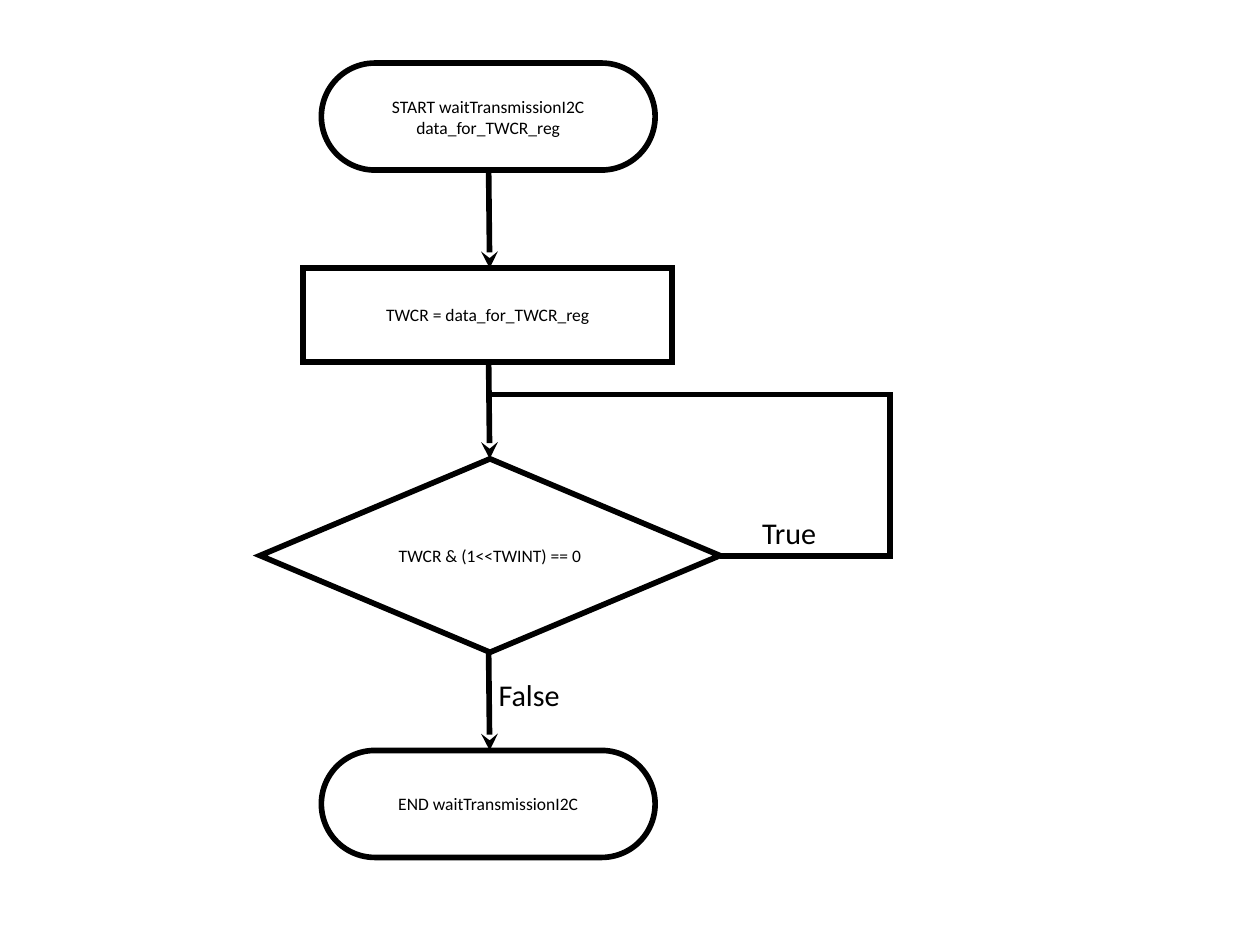
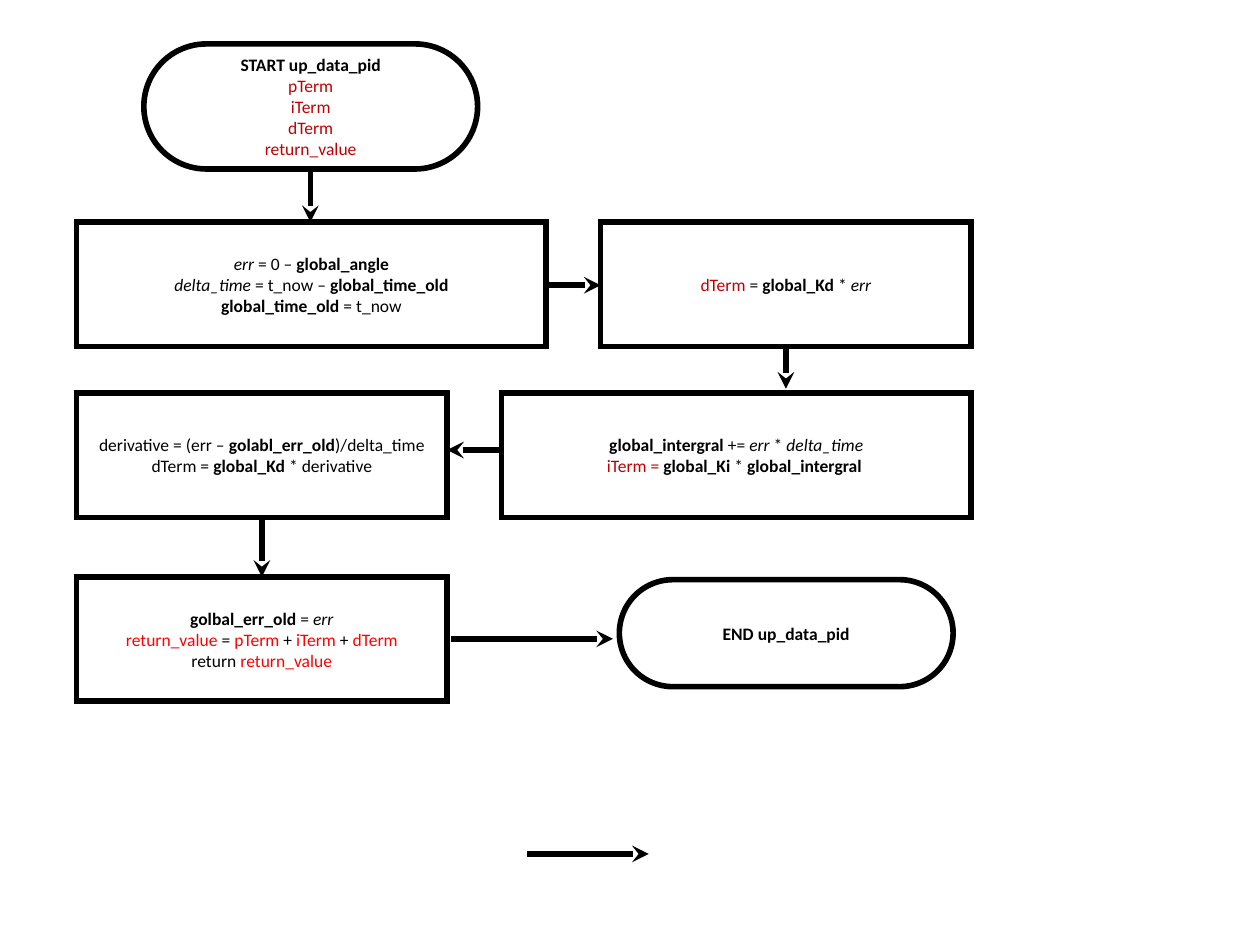
"""Build two program flowcharts: an I2C wait loop and a PID update."""
from dataclasses import dataclass

import lxml.etree
import pptx
import pptx.dml.color
import pptx.enum.shapes
import pptx.enum.text
import pptx.oxml.ns
import pptx.slide
import pptx.text.text
import pptx.util

Cm = pptx.util.Cm
SHAPES = pptx.enum.shapes.MSO_SHAPE
ALIGN = pptx.enum.text.PP_ALIGN
ANCHOR = pptx.enum.text.MSO_ANCHOR

BLACK, DARK_RED, RED = "000000", "C00000", "FF0000"
FONT = "Calibri"
STROKE = 4.5
STEP_SIZE, LABEL_SIZE = 14, 24.1
PILL_WIDTH, PILL_HEIGHT = 9.42, 3.02


@dataclass(frozen=True)
class Run:
    """A stretch of text with one format."""
    text: str
    color: str = BLACK
    bold: bool = False
    italic: bool = False


@dataclass(frozen=True)
class Step:
    """A flowchart node, placed in centimetres."""
    kind: pptx.enum.shapes.MSO_SHAPE
    left: float
    top: float
    width: float
    height: float
    lines: list


@dataclass(frozen=True)
class Link:
    """A straight line between two points in centimetres."""
    x1: float
    y1: float
    x2: float
    y2: float
    arrow: bool = True


@dataclass(frozen=True)
class Label:
    """A branch caption, placed in centimetres."""
    text: str
    left: float
    top: float
    width: float
    height: float = 1.3


def rgb(color: str) -> pptx.dml.color.RGBColor:
    """Turn a hex string into a colour."""
    return pptx.dml.color.RGBColor.from_string(color)


def bold(text: str) -> Run:
    """Return a bold run for a global name."""
    return Run(text, bold=True)


def italic(text: str) -> Run:
    """Return an italic run for a local name."""
    return Run(text, italic=True)


def dark_red(text: str) -> Run:
    """Return a dark red run for a term."""
    return Run(text, DARK_RED)


def red(text: str) -> Run:
    """Return a bright red run for a result."""
    return Run(text, RED)


def write_text(frame: pptx.text.text.TextFrame, lines: list, *, size: float = STEP_SIZE,
               align: ALIGN = ALIGN.CENTER, anchor: ANCHOR = ANCHOR.MIDDLE,
               wrap: bool = True) -> None:
    """Fill a text frame with lines of formatted runs."""
    frame.word_wrap = wrap
    frame.vertical_anchor = anchor
    for index, line in enumerate(lines):
        paragraph = frame.add_paragraph() if index else frame.paragraphs[0]
        paragraph.alignment = align
        for part in line:
            run = paragraph.add_run()
            run.text = part.text
            run.font.name = FONT
            run.font.size = pptx.util.Pt(size)
            run.font.bold = part.bold
            run.font.italic = part.italic
            run.font.color.rgb = rgb(part.color)


def draw_stroke(outlined, arrow: bool = False) -> None:
    """Give a shape or connector the heavy mitred stroke."""
    outlined.line.color.rgb = rgb(BLACK)
    outlined.line.width = pptx.util.Pt(STROKE)
    properties = outlined.element.spPr
    stroke = properties.find(pptx.oxml.ns.qn("a:ln"))
    lxml.etree.SubElement(stroke, pptx.oxml.ns.qn("a:miter"), lim="800000")
    if arrow:
        lxml.etree.SubElement(stroke, pptx.oxml.ns.qn("a:tailEnd"), type="stealth")


def draw_step(slide: pptx.slide.Slide, step: Step) -> None:
    """Draw one node with its centred text."""
    node = slide.shapes.add_shape(step.kind, Cm(step.left), Cm(step.top),
                                  Cm(step.width), Cm(step.height))
    if step.kind == SHAPES.ROUNDED_RECTANGLE:
        node.adjustments[0] = 0.5
    node.shadow.inherit = False
    node.fill.background()
    draw_stroke(node)
    write_text(node.text_frame, step.lines)


def draw_link(slide: pptx.slide.Slide, link: Link) -> None:
    """Draw one line, with an arrowhead if it has one."""
    connector = slide.shapes.add_connector(
        pptx.enum.shapes.MSO_CONNECTOR.STRAIGHT,
        Cm(link.x1), Cm(link.y1), Cm(link.x2), Cm(link.y2))
    draw_stroke(connector, link.arrow)
    lxml.etree.SubElement(connector.element.spPr, pptx.oxml.ns.qn("a:effectLst"))


def draw_label(slide: pptx.slide.Slide, label: Label) -> None:
    """Draw one branch caption."""
    caption = slide.shapes.add_textbox(Cm(label.left), Cm(label.top),
                                       Cm(label.width), Cm(label.height))
    write_text(caption.text_frame, [[Run(label.text)]], size=LABEL_SIZE,
               align=ALIGN.LEFT, anchor=ANCHOR.TOP, wrap=False)
    caption.text_frame.auto_size = pptx.enum.text.MSO_AUTO_SIZE.SHAPE_TO_FIT_TEXT


def pill(left: float, top: float, lines: list, height: float = PILL_HEIGHT) -> Step:
    """Return a start or end node."""
    return Step(SHAPES.ROUNDED_RECTANGLE, left, top, PILL_WIDTH, height, lines)


def box(left: float, top: float, width: float, height: float, lines: list) -> Step:
    """Return a process node."""
    return Step(SHAPES.RECTANGLE, left, top, width, height, lines)


def add_flowchart(deck, steps: list, links: list, labels: list) -> None:
    """Add a slide and draw a flowchart on it."""
    slide = deck.slides.add_slide(deck.slide_layouts[6])
    for step in steps:
        draw_step(slide, step)
    for link in links:
        draw_link(slide, link)
    for label in labels:
        draw_label(slide, label)


def add_wait_chart(deck) -> None:
    """Add the I2C transmission wait loop."""
    start_top, assign_top, test_top, end_top = 1.78, 7.57, 12.95, 21.18
    assign_height, test_height = 2.64, 5.46
    pill_left, spine, spine_end = 9.07, 13.79, 13.82
    loop_top, loop_bottom, loop_right = 11.13, 15.7, 25.12
    corner = 0.08
    steps = [
        pill(pill_left, start_top,
             [[Run("START waitTransmissionI2C")], [Run("data_for_TWCR_reg")]]),
        box(8.56, assign_top, 10.41, assign_height, [[Run("TWCR = data_for_TWCR_reg")]]),
        Step(SHAPES.DIAMOND, 7.34, test_top, 12.98, test_height,
             [[Run("TWCR & (1<<TWINT) == 0")]]),
        pill(pill_left, end_top, [[Run("END waitTransmissionI2C")]]),
    ]
    flow = [(start_top + PILL_HEIGHT, assign_top),
            (assign_top + assign_height, test_top),
            (test_top + test_height, end_top)]
    links = [Link(spine, above, spine_end, below) for above, below in flow]
    links += [
        Link(spine_end, loop_top, loop_right + corner, loop_top, arrow=False),
        Link(20.32, loop_bottom, loop_right + corner, loop_bottom, arrow=False),
        Link(loop_right, loop_bottom, loop_right, loop_top, arrow=False),
    ]
    labels = [Label("True", 21.26, 14.4, 2.24), Label("False", spine_end, 18.97, 2.62)]
    add_flowchart(deck, steps, links, labels)


def add_pid_chart(deck) -> None:
    """Add the PID update sequence."""
    left, right = 2.16, 27.41
    wide, narrow, height = 13.26, 10.46, 3.51
    error_top, integral_top, return_top = 6.27, 11.1, 16.28
    start_top, start_height = 1.24, 3.53
    start_x, proportional_x, derivative_x = 8.76, right - narrow / 2, left + narrow / 2
    terms = ["pTerm", "iTerm", "dTerm", "return_value"]
    steps = [
        pill(4.06, start_top,
             [[bold("START up_data_pid")]] + [[dark_red(term)] for term in terms],
             start_height),
        box(left, error_top, wide, height, [
            [italic("err"), Run(" = 0 – "), bold("global_angle")],
            [italic("delta_time"), Run(" = t_now – "), bold("global_time_old")],
            [bold("global_time_old"), Run(" = t_now")]]),
        box(right - narrow, error_top, narrow, height, [
            [dark_red("dTerm "), Run("= "), bold("global_Kd"), Run(" * "), italic("err")]]),
        box(right - wide, integral_top, wide, height, [
            [bold("global_intergral "), Run("+= "), italic("err"), Run(" * "),
             italic("delta_time")],
            [dark_red("iTerm = "), bold("global_Ki"), Run(" * "),
             bold("global_intergral ")]]),
        box(left, integral_top, narrow, height, [
            [Run("derivative = (err – "), bold("golabl_err_old"), Run(")/delta_time")],
            [Run("dTerm = "), bold("global_Kd"), Run(" * derivative")]]),
        box(left, return_top, narrow, height, [
            [bold("golbal_err_old"), Run(" = "), italic("err")],
            [red("return_value"), Run(" = "), red("pTerm"), Run(" + "), red("iTerm"),
             Run(" + "), red("dTerm")],
            [Run("return "), red("return_value")]]),
        pill(17.48, 16.36, [[bold("END up_data_pid")]]),
    ]
    links = [
        Link(start_x, start_top + start_height, start_x, error_top),
        Link(left + wide, 8.05, right - narrow, 8.05),
        Link(proportional_x, error_top + height, proportional_x, 10.97),
        Link(right - wide, 12.7, left + narrow, 12.7),
        Link(derivative_x, integral_top + height, derivative_x, return_top),
        Link(12.73, 18.03, 17.3, 18.03),
        Link(14.88, 24.1, 18.31, 24.1),
    ]
    add_flowchart(deck, steps, links, [])


def main() -> None:
    """Build and save the deck."""
    deck = pptx.Presentation()
    deck.slide_width, deck.slide_height = Cm(35.56), Cm(26.67)
    add_wait_chart(deck)
    add_pid_chart(deck)
    deck.save("out.pptx")


main()
